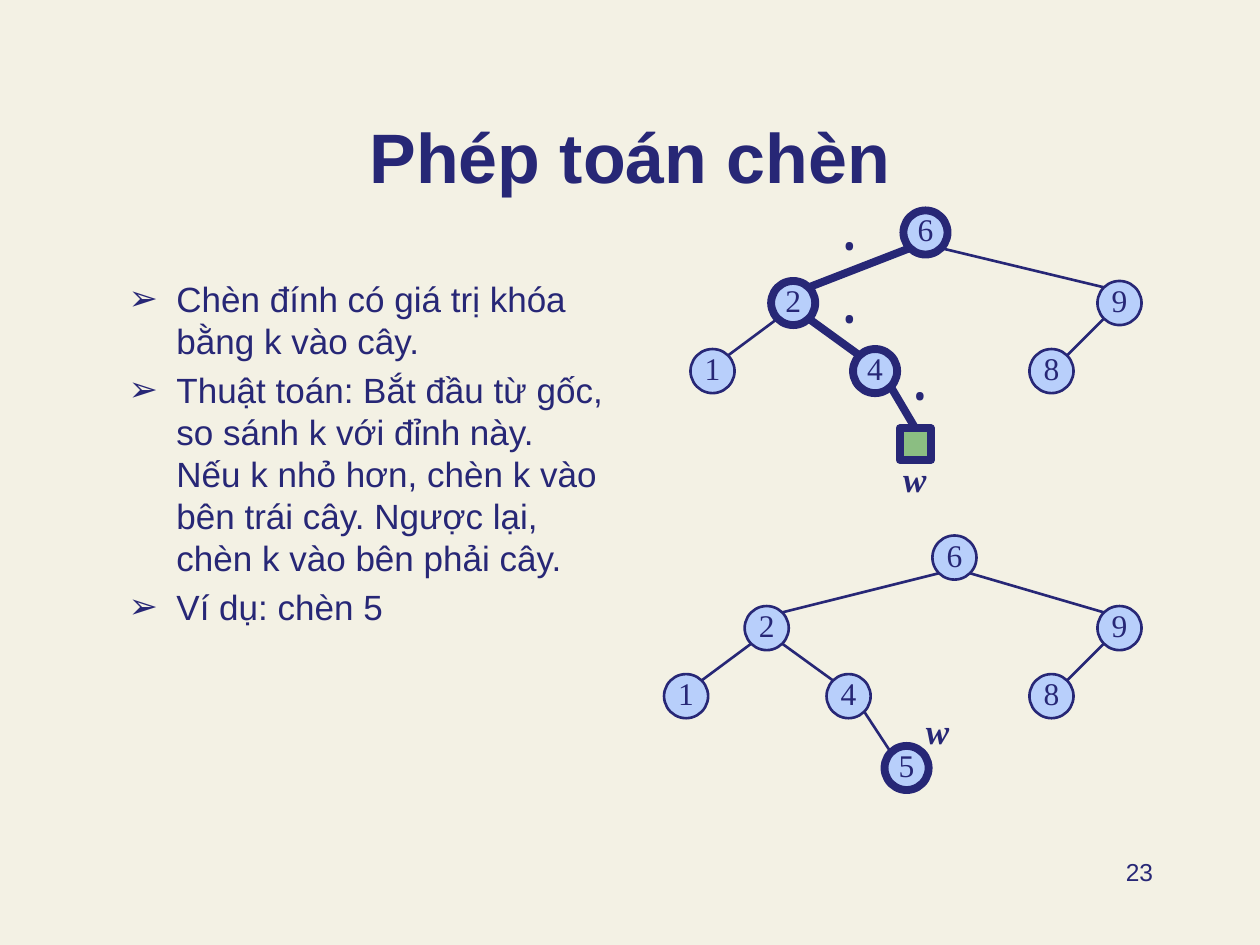
from lxml import etree
from pptx import Presentation
from pptx.dml.color import RGBColor
from pptx.enum.shapes import MSO_CONNECTOR as Connector, MSO_SHAPE as Shape
from pptx.enum.text import MSO_ANCHOR as Anchor, MSO_AUTO_SIZE as AutoSize, PP_ALIGN as Align
from pptx.oxml.ns import qn
from pptx.util import Inches, Pt

NAVY, NODE_BLUE, LEAF_GREEN, CREAM = "272776", "B8CFFB", "8BBE82", "F3F1E4"
NODE = 0.35             # circle diameter
NEAR, FAR = 0.05, 0.3   # where edges meet a circle, from its left or top
THIN, THICK = 1.5, 4.5


def paint(fill, color):
    fill.solid()
    fill.fore_color.rgb = RGBColor.from_string(color)


def write(frame, lines, size, font="Arial", align=Align.LEFT, anchor=Anchor.TOP, bold=False, italic=False):
    frame.text = "\n".join(lines)
    frame.word_wrap = True
    frame.auto_size = AutoSize.NONE
    frame.vertical_anchor = anchor
    for para in frame.paragraphs:
        para.alignment = align
        for span in para.runs:
            span.font.size, span.font.name = Pt(size), font
            span.font.bold, span.font.italic = bold, italic
            paint(span.font.fill, NAVY)


deck = Presentation()
deck.slide_width, deck.slide_height = Inches(10), Inches(7.5)
page = deck.slides.add_slide(deck.slide_layouts[1])
paint(page.background.fill, CREAM)

# Title
title = page.shapes.title
title.left, title.top, title.width, title.height = map(Inches, (0.75, 0.54, 8.5, 1.08))
write(title.text_frame, ["Phép toán chèn"], 40, align=Align.CENTER, anchor=Anchor.BOTTOM, bold=True)

# Bulleted list
body = page.placeholders[1]
body.left, body.top, body.width, body.height = map(Inches, (0.92, 2.15, 4, 4.75))
write(body.text_frame, [
    "Chèn đính có giá trị khóa bằng k vào cây.",
    "Thuật toán: Bắt đầu từ gốc, so sánh k với đỉnh này. Nếu k nhỏ hơn, chèn k vào "
    "bên trái cây. Ngược lại, chèn k vào bên phải cây.",
    "Ví dụ: chèn 5",
], 20)
for index, para in enumerate(body.text_frame.paragraphs):
    para.space_before = Pt(4 if index else 0)
    properties = para._p.get_or_add_pPr()
    properties.set("marL", str(Inches(0.38)))
    properties.set("indent", str(-Inches(0.38)))
    bullet_color = etree.SubElement(properties, qn("a:buClr"))
    etree.SubElement(bullet_color, qn("a:srgbClr"), val=NAVY)
    etree.SubElement(properties, qn("a:buFont"), typeface="Arial")
    etree.SubElement(properties, qn("a:buChar"), char="➢")

# Green square where the search ends
leaf = page.shapes.add_shape(Shape.RECTANGLE, Inches(7.14), Inches(3.4), Inches(0.25), Inches(0.25))
leaf.shadow.inherit = False
paint(leaf.fill, LEAF_GREEN)
paint(leaf.line.fill, NAVY)
leaf.line.width = Pt(THICK)

# Trees: key -> left and top of its circle; the highlighted keys have thick outlines
before = {"6": (7.17, 1.67), "2": (6.12, 2.23), "9": (8.71, 2.23),
          "1": (5.48, 2.77), "4": (6.77, 2.77), "8": (8.17, 2.77)}
after = {"6": (7.4, 4.25), "2": (5.91, 4.81), "9": (8.71, 4.81), "1": (5.27, 5.35),
         "4": (6.56, 5.35), "8": (8.17, 5.35), "5": (7.02, 5.92)}
edges = ["62", "69", "21", "24", "98", "45"]

for nodes, highlighted in ((before, "624"), (after, "5")):
    for key, (left, top) in nodes.items():
        circle = page.shapes.add_shape(Shape.OVAL, Inches(left), Inches(top), Inches(NODE), Inches(NODE))
        circle.shadow.inherit = False
        paint(circle.fill, NODE_BLUE)
        paint(circle.line.fill, NAVY)
        circle.line.width = Pt(THICK if key in highlighted else THIN)
        frame = circle.text_frame
        frame.margin_left = frame.margin_right = frame.margin_top = 0
        frame.margin_bottom = Inches(0.05)
        write(frame, [key], 18, "Times New Roman", Align.CENTER, Anchor.MIDDLE)

    for parent, child in edges:
        x, y = nodes[parent]
        child_x, child_y = nodes.get(child, (7.14, 3.4))
        goes_left = child_x < x
        start = (x + (NEAR if goes_left else FAR), y + FAR)
        end = (child_x + (FAR if goes_left else NEAR), child_y + NEAR)
        edge = page.shapes.add_connector(Connector.STRAIGHT, *map(Inches, start + end))
        if child not in nodes:
            edge.end_connect(leaf, 0)
        thick = parent in highlighted and (child in highlighted or child not in nodes)
        paint(edge.line.fill, NAVY)
        edge.line.width = Pt(THICK if thick else THIN)
        etree.SubElement(edge._element.spPr, qn("a:effectLst"))

# Comparison dots, w labels and page number
serif_bold = {"font": "Times New Roman", "bold": True, "italic": True}
labels = [
    ("•", 6.59, 1.73, 0.35, 0.43, 20, {"font": "Open Sans"}),
    ("•", 6.59, 2.31, 0.35, 0.43, 20, {"font": "Open Sans"}),
    ("•", 7.15, 2.92, 0.35, 0.43, 20, {"font": "Open Sans"}),
    ("w", 7.07, 3.58, 0.39, 0.43, 20, serif_bold),
    ("w", 7.25, 5.58, 0.39, 0.43, 20, serif_bold),
    ("23", 7.17, 6.75, 2.08, 0.5, 14, {"align": Align.RIGHT}),
]
for text, left, top, width, height, size, style in labels:
    box = page.shapes.add_textbox(Inches(left), Inches(top), Inches(width), Inches(height))
    write(box.text_frame, [text], size, **style)

deck.save("out.pptx")
